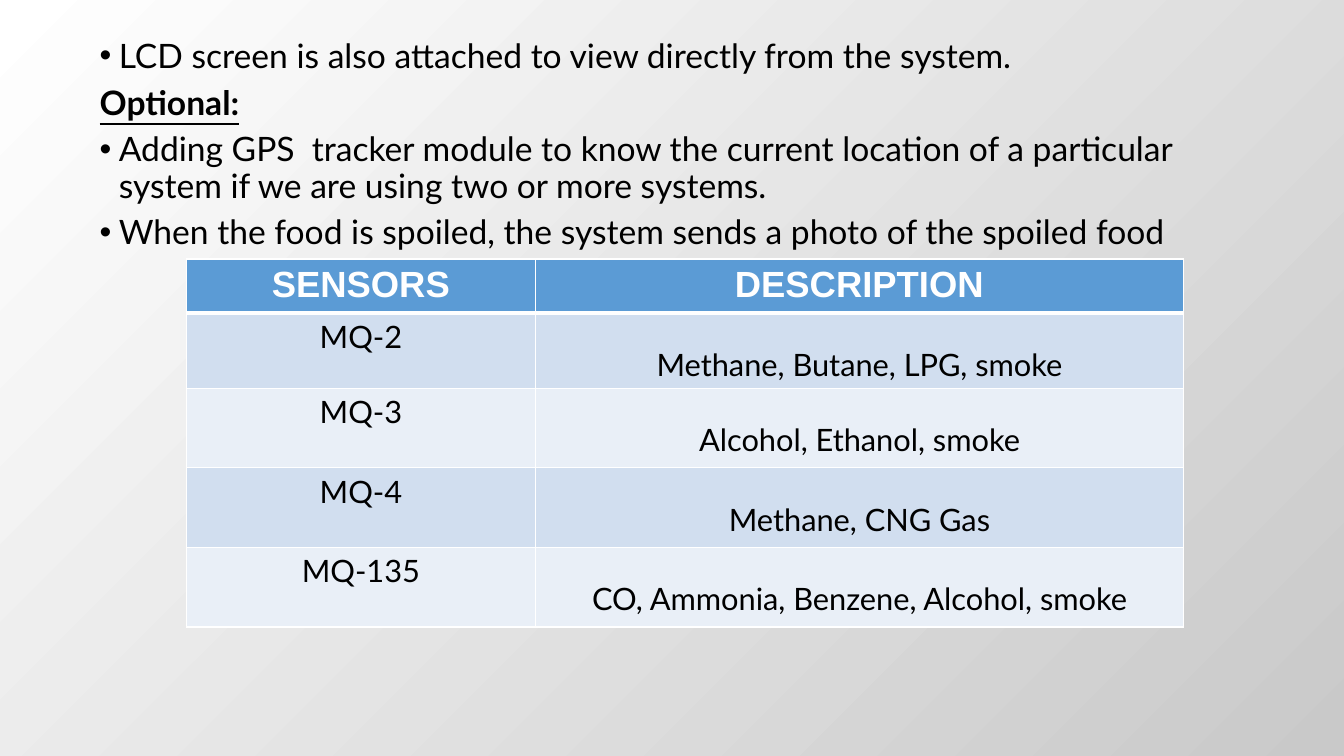
from lxml.etree import SubElement as Sub
from pptx import Presentation
from pptx.dml.color import RGBColor
from pptx.enum.text import PP_ALIGN as Align
from pptx.oxml.ns import qn
from pptx.util import Inches, Pt


def paint(code):
    return RGBColor.from_string(code)


class Page:
    body, head = "Lato", "Arial"
    dark, light = "000000", "FFFFFF"
    blue, bands = "5B9BD5", ("D1DEEF", "E9EFF7")

    def __init__(self, deck):
        self.slide = deck.slides.add_slide(deck.slide_layouts[6])

    def back(self, start, end, angle):
        fill = self.slide.background.fill
        fill.gradient()
        fill.gradient_angle = angle
        for stop, code in zip(fill.gradient_stops, (start, end)):
            stop.color.rgb = paint(code)

    def font(self, para, name, size, code, bold=False):
        font = para.font
        font.name, font.size, font.bold = name, Pt(size), bold
        font.color.rgb = paint(code)

    def bullet(self, para):
        props = para._p.get_or_add_pPr()
        props.set("marL", str(Inches(0.19)))
        props.set("indent", str(-Inches(0.19)))
        color = Sub(Sub(props, qn("a:buClr")), qn("a:srgbClr"))
        color.set("val", self.dark)
        Sub(props, qn("a:buFont")).set("typeface", "Arial")
        Sub(props, qn("a:buChar")).set("char", "•")

    def notes(self, items, left, top, width, height):
        box = self.slide.shapes.add_textbox(
            Inches(left), Inches(top), Inches(width), Inches(height))
        frame = box.text_frame
        frame.word_wrap = True
        for i, (text, title) in enumerate(items):
            para = frame.add_paragraph() if i else frame.paragraphs[0]
            para.text = text
            para.line_spacing, para.space_before = 0.9, Pt(7.5)
            if not title:
                self.bullet(para)
            self.font(para, self.body, 24, self.dark, title)
            para.font.underline = title

    def border(self, cell, base):
        props = cell._tc.get_or_add_tcPr()
        for side, width in zip("LRTB", (0.96, 0.96, 0.96, base)):
            line = Sub(props, qn(f"a:ln{side}"), w=str(Pt(width)))
            color = Sub(Sub(line, qn("a:solidFill")), qn("a:srgbClr"))
            color.set("val", self.light)

    def table(self, rows, left, top, widths, heights):
        grid = self.slide.shapes.add_table(
            len(rows), len(widths), Inches(left), Inches(top),
            Inches(sum(widths)), Inches(sum(heights))).table
        for col, width in zip(grid.columns, widths):
            col.width = Inches(width)
        for r, (row, height) in enumerate(zip(rows, heights)):
            grid.rows[r].height = Inches(height)
            for c, text in enumerate(row):
                cell = grid.cell(r, c)
                cell.text = text
                para = cell.text_frame.paragraphs[0]
                para.alignment = Align.CENTER
                # White rules, thick under the header
                self.border(cell, 0.96 if r else 3)
                cell.fill.solid()
                if r:
                    cell.fill.fore_color.rgb = paint(self.bands[(r - 1) % 2])
                    self.font(para, self.body, 22, self.dark)
                    # Descriptions sit lower than sensor names
                    cell.margin_top = Inches(0.33 if c else 0.05)
                else:
                    cell.fill.fore_color.rgb = paint(self.blue)
                    self.font(para, self.head, 26, self.light, True)


def main():
    deck = Presentation()
    deck.slide_width, deck.slide_height = Inches(13.33), Inches(7.5)
    page = Page(deck)
    page.back("C9C9C9", "FFFFFF", 135)

    # Feature list
    page.notes([
        ("LCD screen is also attached to view directly from the system.", False),
        ("Optional:", True),
        ("Adding GPS  tracker module to know the current location of a "
         "particular system if we are using two or more systems.", False),
        ("When the food is spoiled, the system sends a photo of the "
         "spoiled food", False),
    ], 0.89, 0.34, 11.82, 2.31)

    # Sensor table
    page.table([
        ("SENSORS", "DESCRIPTION"),
        ("MQ-2", "Methane, Butane, LPG, smoke"),
        ("MQ-3", "Alcohol, Ethanol, smoke"),
        ("MQ-4", "Methane, CNG Gas"),
        ("MQ-135", "CO, Ammonia, Benzene, Alcohol, smoke"),
    ], 1.85, 2.57, (3.46, 6.43), (0.5, 0.74, 0.79, 0.79, 0.79))

    deck.save("out.pptx")


if __name__ == "__main__":
    main()
